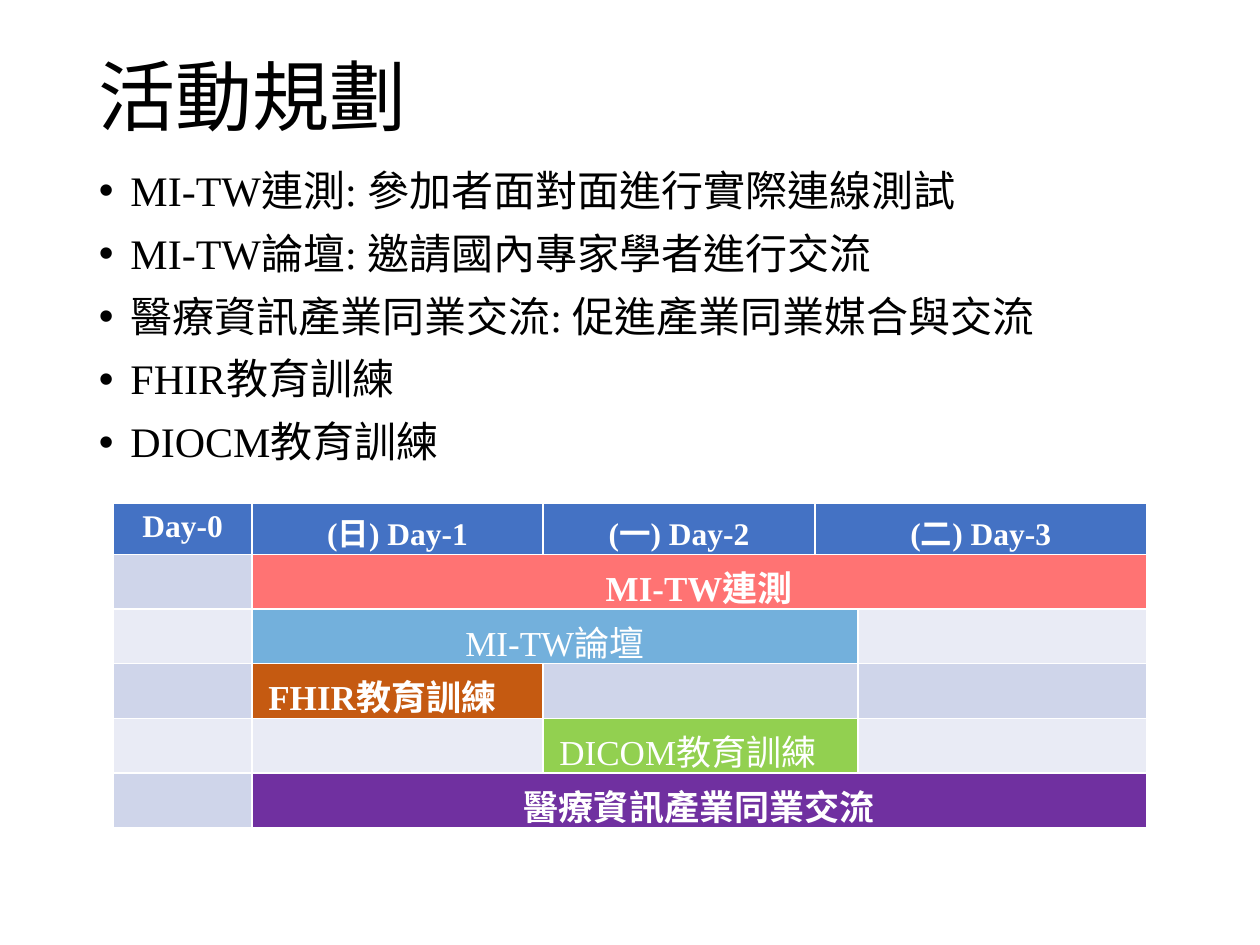
from lxml.etree import SubElement
from pptx import Presentation
from pptx.dml.color import RGBColor
from pptx.enum.lang import MSO_LANGUAGE_ID as Language
from pptx.enum.text import MSO_ANCHOR as Anchor, PP_ALIGN as Align
from pptx.oxml.ns import qn
from pptx.util import Pt

FONT = "Times New Roman"
BANDS = ("CFD5EA", "E9EBF5")
COLUMNS = (79.2, 166.3, 155.5, 24.5, 164.9)
ROW_HEIGHT = 29.52

TOPICS = (
    "MI-TW連測: 參加者面對面進行實際連線測試",
    "MI-TW論壇: 邀請國內專家學者進行交流",
    "醫療資訊產業同業交流: 促進產業同業媒合與交流",
    "FHIR教育訓練",
    "DIOCM教育訓練",
)
# first column, columns spanned, text
DAYS = ((0, 1, "Day-0"), (1, 1, "(日) Day-1"), (2, 1, "(一) Day-2"), (3, 2, "(二) Day-3"))
# first column, columns spanned, text, fill, opacity in percent, bold, alignment
SESSIONS = (
    (1, 4, "MI-TW連測", "FF0000", 55, True, Align.CENTER),
    (1, 3, "MI-TW論壇", "0070C0", 55, False, Align.CENTER),
    (1, 1, "FHIR教育訓練", "C55A11", 100, True, Align.LEFT),
    (2, 2, "DICOM教育訓練", "92D050", 100, False, Align.LEFT),
    (1, 4, "醫療資訊產業同業交流", "7030A0", 100, True, Align.CENTER),
)


def color(value):
    return RGBColor.from_string(value)


def style(para, size, ink, bold=False):
    font = para.font
    font.name, font.size, font.bold = FONT, Pt(size), bold
    font.color.rgb = color(ink)
    font.language_id = Language.TRADITIONAL_CHINESE


def add_text_frame(page, box, anchor):
    frame = page.shapes.add_textbox(*map(Pt, box)).text_frame
    frame.word_wrap = True
    frame.vertical_anchor = anchor
    return frame


def add_title(page, box, text):
    para = add_text_frame(page, box, Anchor.MIDDLE).paragraphs[0]
    para.text = text
    para.line_spacing = 0.9
    style(para, 44, "000000")


def add_topics(page, box, topics):
    frame = add_text_frame(page, box, Anchor.TOP)
    frame.text = "\n".join(topics)
    for para in frame.paragraphs:
        para.line_spacing = 0.9
        para.space_before = Pt(10)
        style(para, 24, "000000")
        # Hanging bullet, placed before the default run properties
        props = para._p.get_or_add_pPr()
        props.set("marL", str(Pt(18)))
        props.set("indent", str(-Pt(18)))
        defaults = props.find(qn("a:defRPr"))
        bullet_font = SubElement(props, qn("a:buFont"), typeface="Arial")
        bullet = SubElement(props, qn("a:buChar"), char="•")
        defaults.addprevious(bullet_font)
        defaults.addprevious(bullet)


def fill_cell(cell, fill, opacity=100):
    cell.fill.solid()
    cell.fill.fore_color.rgb = color(fill)
    if opacity < 100:
        tint = cell._tc.tcPr.find(qn("a:solidFill"))[0]
        SubElement(tint, qn("a:alpha"), val=str(opacity * 1000))


def write_cell(cell, text, size, bold, align):
    cell.margin_left = cell.margin_right = Pt(9.36)
    cell.margin_top = cell.margin_bottom = Pt(3.6)
    para = cell.text_frame.paragraphs[0]
    para.text = text
    para.alignment = align
    style(para, size, "FFFFFF", bold)


def merge_cells(table, row, first, count):
    cell = table.cell(row, first)
    if count > 1:
        cell.merge(table.cell(row, first + count - 1))
    return cell


def add_schedule(page, left, top):
    count = len(SESSIONS) + 1
    table = page.shapes.add_table(
        count, len(COLUMNS), Pt(left), Pt(top), Pt(sum(COLUMNS)), Pt(count * ROW_HEIGHT)
    ).table
    for column, width in zip(table.columns, COLUMNS):
        column.width = Pt(width)
    # Header of days
    for first, span, text in DAYS:
        cell = merge_cells(table, 0, first, span)
        fill_cell(cell, "4472C4")
        write_cell(cell, text, 18, True, Align.CENTER)
    # One session in each banded row
    for row, (first, span, text, fill, opacity, bold, align) in enumerate(SESSIONS, 1):
        for column in range(len(COLUMNS)):
            if not first <= column < first + span:
                fill_cell(table.cell(row, column), BANDS[(row - 1) % 2])
        cell = merge_cells(table, row, first, span)
        fill_cell(cell, fill, opacity)
        write_cell(cell, text, 20, bold, align)
    # The free slot beside the FHIR training is one wide cell
    merge_cells(table, 3, 2, 2)


deck = Presentation()
deck.slide_width, deck.slide_height = Pt(720), Pt(540)
page = deck.slides.add_slide(deck.slide_layouts[6])
add_title(page, (49.5, 28.8, 621, 56.9), "活動規劃")
add_topics(page, (49.5, 93.6, 621, 226), TOPICS)
add_schedule(page, 64.8, 287.3)
deck.save("out.pptx")
